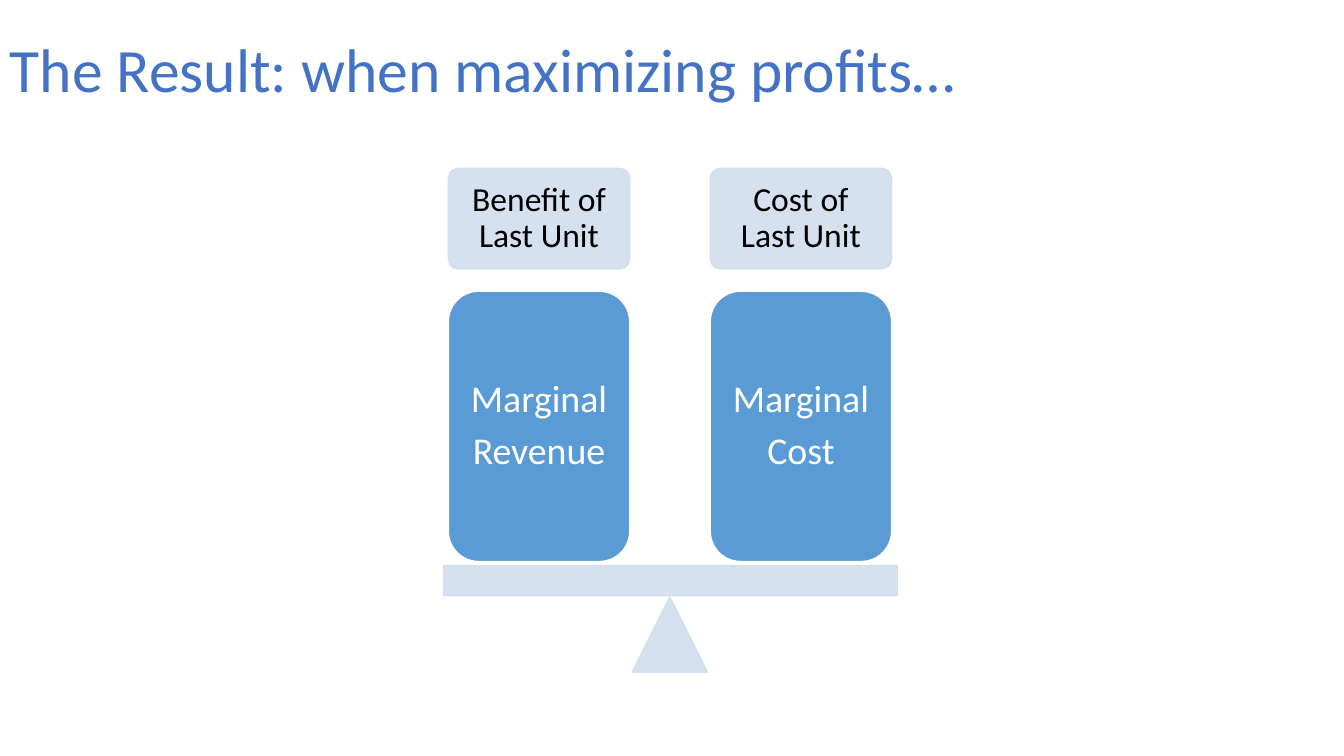
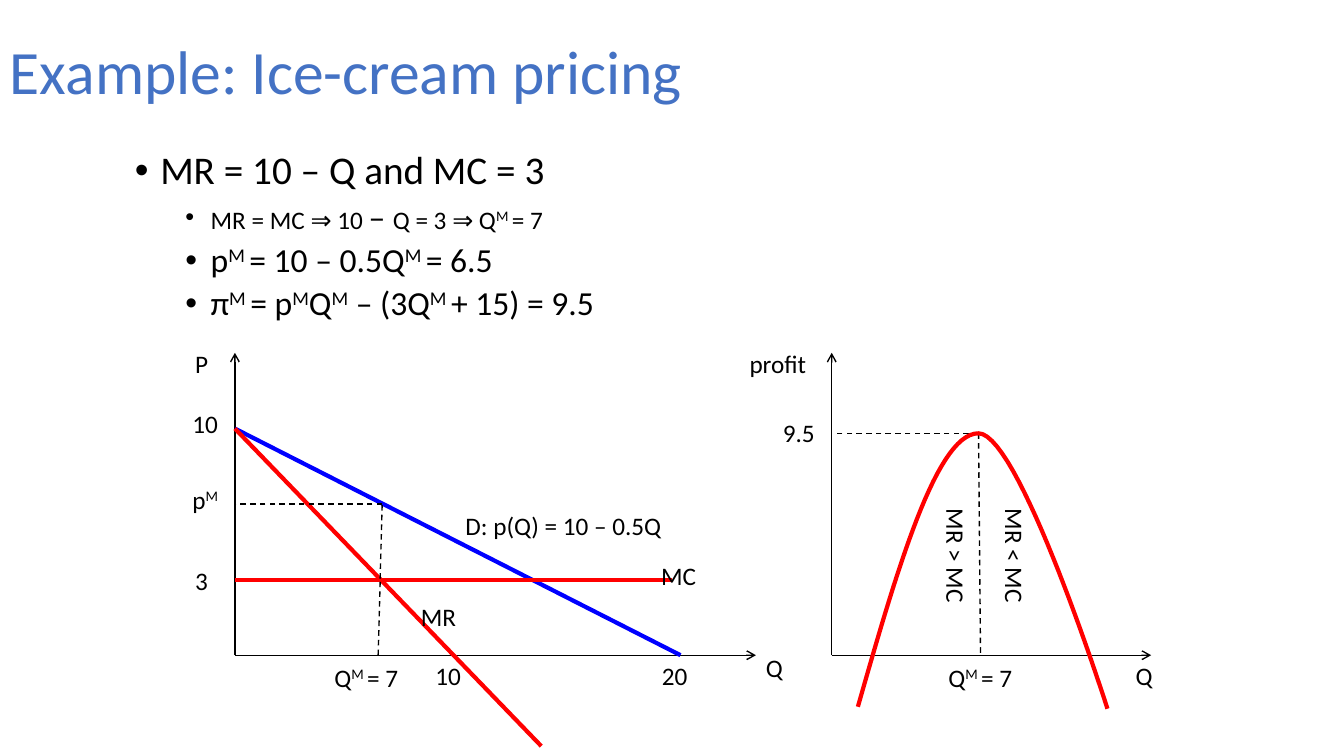
import pptx
import pptx.dml.color
import pptx.enum.dml
import pptx.enum.shapes
import pptx.enum.text
import pptx.oxml
import pptx.oxml.ns
import pptx.util
from lxml import etree

Cm, Pt = pptx.util.Cm, pptx.util.Pt
qn = pptx.oxml.ns.qn
SHAPE = pptx.enum.shapes.MSO_SHAPE
MIDDLE = pptx.enum.text.MSO_ANCHOR.MIDDLE
CENTER = pptx.enum.text.PP_ALIGN.CENTER
DASH = pptx.enum.dml.MSO_LINE.DASH

FONT = "Calibri"
TITLE_BLUE, BOX_BLUE, PALE_BLUE = "4472C4", "5B9BD5", "D2DEEF"
BLACK, WHITE, RED, BLUE = "000000", "FFFFFF", "FF0000", "0000FF"


def paint(fill, color):
    fill.solid()
    fill.fore_color.rgb = pptx.dml.color.RGBColor.from_string(color)


def write(para, text, size, color=BLACK, **para_format):
    """Add text to a paragraph; parts between ^ marks are superscript."""
    for name, value in para_format.items():
        setattr(para, name, value)
    for index, part in enumerate(text.split("^")):
        if not part:
            continue
        span = para.add_run()
        span.text = part
        for name, value in {"name": FONT, "size": Pt(size)}.items():
            setattr(span.font, name, value)
        paint(span.font.fill, color)
        if index % 2:
            span.font._element.set("baseline", "30000")


deck = pptx.Presentation()
deck.slide_width, deck.slide_height = Cm(33.87), Cm(19.05)

slides = []
for title, top in (("The Result: when maximizing profits…", 0),
                   ("Example: Ice-cream pricing", 0.05)):
    slide = deck.slides.add_slide(deck.slide_layouts[6])
    box = slide.shapes.add_textbox(Cm(0), Cm(top), Cm(29.21), Cm(3.68))
    box.text_frame.word_wrap = True
    box.text_frame.vertical_anchor = MIDDLE
    write(box.text_frame.paragraphs[0], title, 44, TITLE_BLUE, line_spacing=0.9)
    slides.append(slide)
balance, pricing = slides

# Slide 1: the balance. Kind, place, fill, line, opacity, lines of text, size, colour, inset
scale_parts = [
    (SHAPE.ISOSCELES_TRIANGLE, (15.93, 15.04, 1.9, 1.9), PALE_BLUE, PALE_BLUE, 90, [], 0, BLACK, 0),
    (SHAPE.RECTANGLE, (11.18, 14.25, 11.43, 0.76), PALE_BLUE, PALE_BLUE, 90, [], 0, BLACK, 0),
]
for left, label, weight in ((11.3, "Benefit of Last Unit", "Revenue"),
                            (17.9, "Cost of Last Unit", "Cost")):
    scale_parts += [
        (SHAPE.ROUNDED_RECTANGLE, (left, 4.24, 4.57, 2.54), PALE_BLUE, PALE_BLUE, 90,
         [label], 24, BLACK, 0.25),
        (SHAPE.ROUNDED_RECTANGLE, (left, 7.34, 4.57, 6.81), BOX_BLUE, WHITE, 100,
         ["Marginal", weight], 27, WHITE, 0.28),
    ]

for kind, place, fill, line, opacity, lines, size, color, inset in scale_parts:
    shape = balance.shapes.add_shape(kind, *map(Cm, place))
    shape.shadow.inherit = False
    paint(shape.fill, fill)
    paint(shape.line.fill, line)
    shape.line.width = Pt(1)
    if opacity < 100:
        for tint in shape._element.spPr.iter(qn("a:srgbClr")):
            etree.SubElement(tint, qn("a:alpha")).set("val", str(opacity * 1000))
        if lines:
            shape.adjustments[0] = 0.1
    frame = shape.text_frame
    frame.word_wrap = True
    frame.vertical_anchor = MIDDLE
    for side in ("left", "top", "right", "bottom"):
        setattr(frame, f"margin_{side}", Cm(inset))
    for index, text in enumerate(lines):
        para = frame.add_paragraph() if index else frame.paragraphs[0]
        write(para, text, size, color, alignment=CENTER, line_spacing=0.9,
              space_after=Pt(8))

# Slide 2: the derivation. Level, then text and size of each part
derivation = [
    (0, [("MR = 10 – Q and MC = 3", 28)]),
    (1, [("MR = MC ⇒ 10 ", 18), ("– ", 24), ("Q = 3 ⇒ Q^M ^= 7", 18)]),
    (1, [("p^M ^= 10 – 0.5Q^M ^= 6.5", 24)]),
    (1, [("π^M ^= p^M^Q^M^ – (3Q^M ^+ 15) = 9.5", 24)]),
]
box = pricing.shapes.add_textbox(Cm(3.15), Cm(3.68), Cm(25.02), Cm(5.31))
box.text_frame.word_wrap = True
for index, (level, parts) in enumerate(derivation):
    para = box.text_frame.add_paragraph() if index else box.text_frame.paragraphs[0]
    for text, size in parts:
        write(para, text, size, level=level, line_spacing=0.9,
              space_before=Pt(5 if level else 10))
    properties = para._p.get_or_add_pPr()
    properties.set("marL", str(Cm(0.64 + 1.27 * level)))
    properties.set("indent", str(-Cm(0.64)))
    etree.SubElement(properties, qn("a:buFont")).set("typeface", "Arial")
    etree.SubElement(properties, qn("a:buChar")).set("char", "•")

# Axes, curves and guides of both graphs
BASE, AXIS_TOP = 16.51, 8.89
PRICE_X, PROFIT_X = 5.92, 20.96
INTERCEPT, COST, PRICE, PEAK = 10.8, 14.61, 12.7, 10.92
AXIS, DEMAND, CURVE, GUIDE = "axis", "demand", "curve", "guide"
line_styles = {AXIS: (BLACK, 1), DEMAND: (BLUE, 3), CURVE: (RED, 3), GUIDE: (BLACK, 1)}
graph_lines = [
    (AXIS, PRICE_X, BASE, 19.05, BASE),
    (AXIS, PRICE_X, BASE, PRICE_X, AXIS_TOP),
    (DEMAND, PRICE_X, INTERCEPT, 17.15, BASE),
    (CURVE, PRICE_X, INTERCEPT, 13.64, 18.8),
    (CURVE, PRICE_X, COST, 16.94, COST),
    (GUIDE, 9.53, BASE, 9.58, 14.66),
    (GUIDE, 9.58, 14.58, 9.63, 12.73),
    (GUIDE, 9.63, PRICE, PRICE_X, PRICE),
    (AXIS, PROFIT_X, BASE, PROFIT_X, AXIS_TOP),
    (AXIS, PROFIT_X, BASE, 29.01, BASE),
    (GUIDE, 24.66, PEAK, 24.71, BASE),
    (GUIDE, 24.66, PEAK, 21.06, PEAK),
]
for style, *ends in graph_lines:
    color, width = line_styles[style]
    line = pricing.shapes.add_connector(
        pptx.enum.shapes.MSO_CONNECTOR.STRAIGHT, *map(Cm, ends))
    paint(line.line.fill, color)
    line.line.width = Pt(width)
    if style == GUIDE:
        line.line.dash_style = DASH
    if style == AXIS:
        etree.SubElement(line.line._get_or_add_ln(), qn("a:tailEnd")).set("type", "arrow")
    etree.SubElement(line._element.spPr, qn("a:effectLst"))

# Profit curve: two cubic arcs that meet at the peak
arcs = [
    ((21.62, 17.81), (22.61, 14.35), (23.6, PEAK), (24.66, PEAK)),
    ((24.66, PEAK), (25.7, PEAK), (27.91, 17.86), (27.91, 17.86)),
]
STEPS = 30
curve_points = []
for arc in arcs:
    for step in range(1, STEPS + 1):
        t = step / STEPS
        weights = ((1 - t) ** 3, 3 * t * (1 - t) ** 2, 3 * t ** 2 * (1 - t), t ** 3)
        curve_points.append(tuple(
            Cm(sum(weight * point[axis] for weight, point in zip(weights, arc)))
            for axis in (0, 1)))
builder = pricing.shapes.build_freeform(*map(Cm, arcs[0][0]))
builder.add_line_segments(curve_points, close=False)
profit_curve = builder.convert_to_shape()
profit_curve.shadow.inherit = False
profit_curve.fill.background()
paint(profit_curve.line.fill, RED)
profit_curve.line.width = Pt(3)

# Graph labels: text, left, top, width
graph_labels = [
    ("P", 4.67, 8.66, 1.27),
    ("10", 4.6, 10.16, 1.4),
    ("p^M^", 4.6, 12.07, 1.4),
    ("3", 4.67, 14.12, 1.27),
    ("Q^M ^= 7", 8.18, 16.56, 2.67),
    ("10", 10.72, BASE, 1.4),
    ("20", 16.43, BASE, 1.4),
    ("Q", 19.05, 16.31, 1.27),
    ("D: p(Q) = 10 – 0.5Q", 11.48, 12.73, 5.97),
    ("MR", 10.36, 15.04, 2.34),
    ("MC", 16.41, 14, 2.34),
    ("profit", 18.64, 8.66, 2.34),
    ("9.5", 19.48, 10.39, 1.7),
    ("Q^M ^= 7", 23.65, 16.56, 2.49),
    ("Q", 28.37, BASE, 1.27),
    ("MR > MC", 23.34, 12.57, 1.27),
    ("MR < MC", 24.82, 12.57, 1.27),
]
for text, left, top, width in graph_labels:
    upright = text.startswith("MR ")
    box = pricing.shapes.add_textbox(
        Cm(left), Cm(top), Cm(width), Cm(3.1 if upright else 1.02))
    box.text_frame.word_wrap = True
    if upright:
        box.text_frame._txBody.bodyPr.set("vert", "eaVert")
    write(box.text_frame.paragraphs[0], text, 18)

deck.save("out.pptx")
